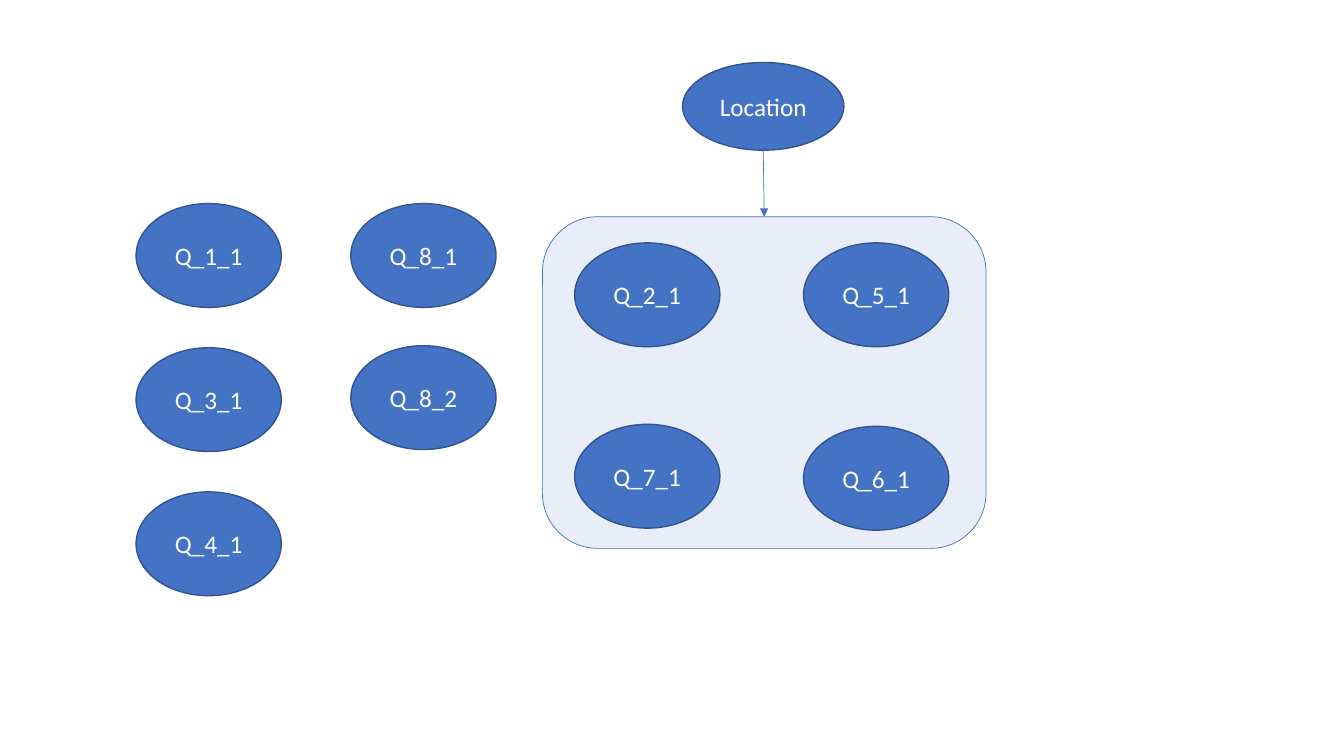
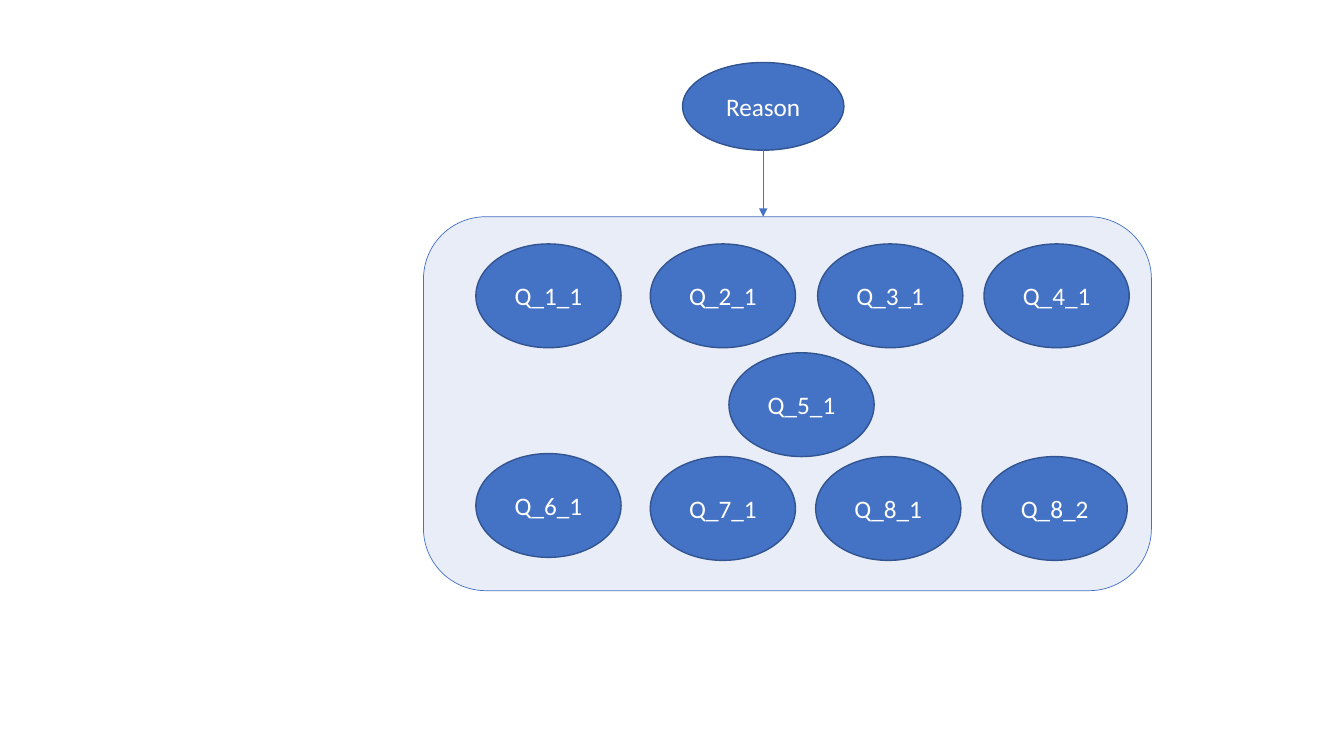
from pptx import Presentation
from pptx.dml.color import RGBColor
from pptx.enum.shapes import MSO_CONNECTOR, MSO_SHAPE
from pptx.enum.text import MSO_ANCHOR, PP_ALIGN
from pptx.oxml.ns import qn
from pptx.util import Inches, Pt
from lxml import etree

OVAL = MSO_SHAPE.OVAL
ROUNDED = MSO_SHAPE.ROUNDED_RECTANGLE
STRAIGHT = MSO_CONNECTOR.STRAIGHT
CENTER = PP_ALIGN.CENTER
MIDDLE = MSO_ANCHOR.MIDDLE

COLORS = {"blue": "4472C4", "edge": "325491", "text": "FFFFFF"}
FONT = "Calibri"
TOPIC_BOX = (6.77, 0.62, 1.6, 0.87)
NODE_SIZE = (1.44, 1.03)
PANEL_TOP = 2.15
TOP, BOTTOM = 0, 2
OVAL_BOTTOM_SITE = "4"  # an oval has eight connection sites

# Each slide: topic, panel (left, width, height), whether the arrow
# joins the panel's top centre, and nodes as (text, left, top)
SLIDES = [
    {
        "topic": "Location",
        "panel": (5.38, 4.4, 3.29),
        "centred": True,
        "nodes": [
            ("Q_1_1", 1.35, 2.02), ("Q_3_1", 1.35, 3.45), ("Q_4_1", 1.35, 4.88),
            ("Q_8_1", 3.48, 2.02), ("Q_8_2", 3.48, 3.43),
            ("Q_2_1", 5.7, 2.41), ("Q_5_1", 7.97, 2.41),
            ("Q_7_1", 5.7, 4.21), ("Q_6_1", 7.97, 4.23),
        ],
    },
    {
        "topic": "Reason",
        "panel": (4.2, 7.22, 3.71),
        "centred": False,
        "nodes": [
            ("Q_1_1", 4.72, 2.42), ("Q_2_1", 6.45, 2.42),
            ("Q_3_1", 8.11, 2.42), ("Q_4_1", 9.76, 2.42),
            ("Q_5_1", 7.23, 3.5),
            ("Q_6_1", 4.72, 4.5), ("Q_7_1", 6.45, 4.53),
            ("Q_8_1", 8.09, 4.53), ("Q_8_2", 9.74, 4.53),
        ],
    },
]


def rgb(name):
    return RGBColor.from_string(COLORS[name])


def write(shape, text, size=18, color="text", align=CENTER, anchor=MIDDLE):
    tf = shape.text_frame
    tf.vertical_anchor = anchor
    p = tf.paragraphs[0]
    p.alignment = align
    r = p.add_run()
    r.text = text
    r.font.name = FONT
    r.font.size = Pt(size)
    r.font.color.rgb = rgb(color)


def add_box(s, kind, box, line, width, alpha=None):
    sp = s.shapes.add_shape(kind, *map(Inches, box))
    sp.shadow.inherit = False
    sp.fill.solid()
    sp.fill.fore_color.rgb = rgb("blue")
    sp.line.color.rgb = rgb(line)
    sp.line.width = Pt(width)
    if alpha is not None:
        color = sp._element.spPr.find(qn("a:solidFill")).find(qn("a:srgbClr"))
        etree.SubElement(color, qn("a:alpha"), val=str(alpha * 1000))
    return sp


def add_oval(s, text, box):
    sp = add_box(s, OVAL, box, "edge", 1)
    write(sp, text)
    return sp


def add_arrow(s, topic, panel, centred):
    x = topic.left + topic.width // 2
    cxn = s.shapes.add_connector(STRAIGHT, x, topic.top + topic.height,
                                 x, panel.top)
    cxn.begin_connect(topic, BOTTOM)
    next(cxn._element.iter(qn("a:stCxn"))).set("idx", OVAL_BOTTOM_SITE)
    if centred:
        cxn.end_connect(panel, TOP)
    cxn.line.color.rgb = rgb("blue")
    cxn.line.width = Pt(0.5)
    # Arrowhead, and no theme shadow
    etree.SubElement(cxn.line._get_or_add_ln(), qn("a:tailEnd"), type="triangle")
    etree.SubElement(cxn._element.spPr, qn("a:effectLst"))


def add_diagram(prs, topic, panel, centred, nodes):
    s = prs.slides.add_slide(prs.slide_layouts[6])
    left, width, height = panel
    panel_sp = add_box(s, ROUNDED, (left, PANEL_TOP, width, height),
                       "blue", 0.5, alpha=12)
    topic_sp = add_oval(s, topic, TOPIC_BOX)
    for text, x, y in nodes:
        add_oval(s, text, (x, y, *NODE_SIZE))
    add_arrow(s, topic_sp, panel_sp, centred)


def main():
    prs = Presentation()
    prs.slide_width = Inches(13.33)
    prs.slide_height = Inches(7.5)
    for diagram in SLIDES:
        add_diagram(prs, **diagram)
    prs.save("out.pptx")


if __name__ == "__main__":
    main()
